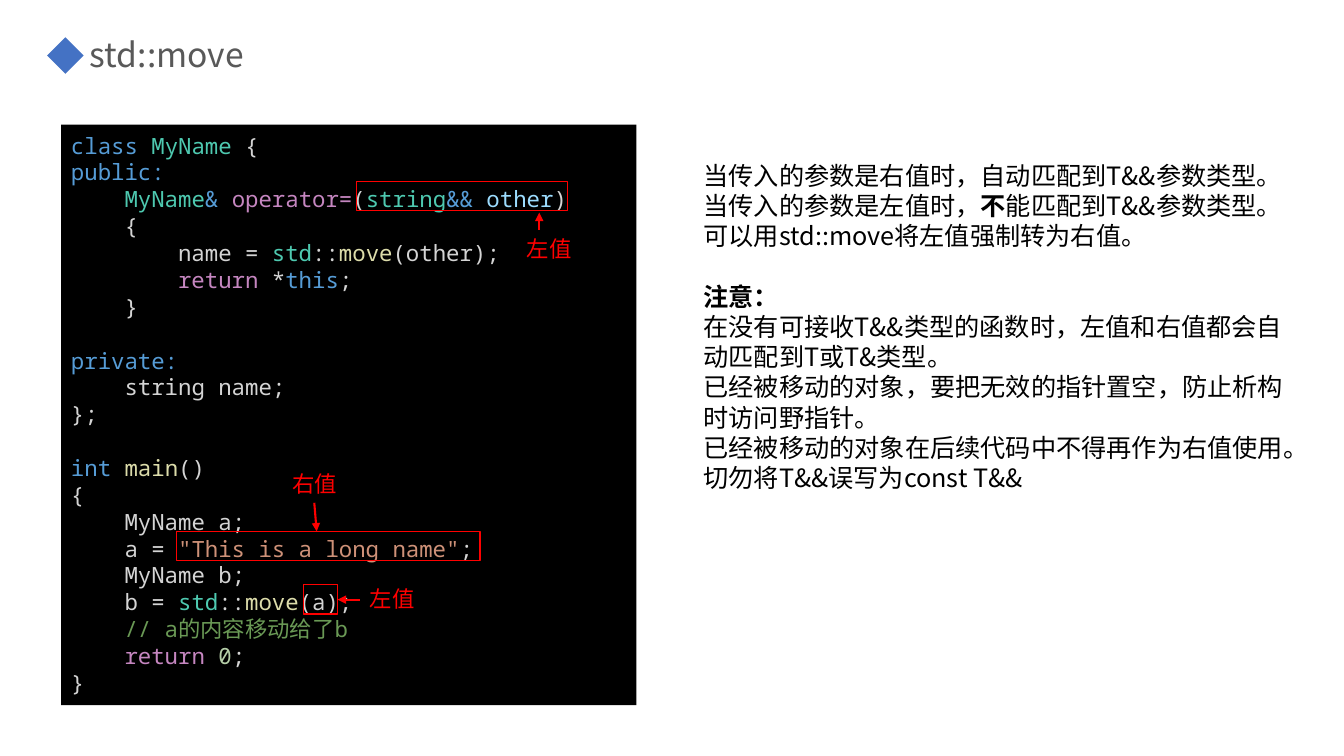
from lxml import etree
from pptx import Presentation
from pptx import util as u
from pptx.dml.color import RGBColor
from pptx.enum import shapes, text
from pptx.oxml.ns import qn

COLOURS = {
    "black": "000000", "red": "FF0000", "accent": "4472C4", "title": "595959",
    "plain": "D4D4D4", "keyword": "569CD6", "type": "4EC9B0", "control": "C586C0",
    "function": "DCDCAA", "variable": "9CDCFE", "string": "CE9178",
    "number": "B5CEA8", "comment": "6A9955",
}
SANS, MONO = "Noto Sans CJK SC", "Noto Sans Mono"
LINE_HEIGHT = 1.2
CODE_INDENT = 1.35

# Each line: indent level, blank line above, then (colour, text) tokens.
CODE = [
    (0, False, [("keyword", "class "), ("type", "MyName"), ("plain", " {")]),
    (0, False, [("keyword", "public:")]),
    (1, False, [("type", "MyName"), ("keyword", "& "), ("control", "operator="),
                ("plain", "("), ("type", "string"), ("keyword", "&& "),
                ("variable", "other"), ("plain", ")")]),
    (1, False, [("plain", "{")]),
    (2, False, [("plain", "name = "), ("type", "std"), ("plain", "::"),
                ("function", "move"), ("plain", "(other);")]),
    (2, False, [("control", "return"), ("plain", " *"), ("keyword", "this"),
                ("plain", ";")]),
    (1, False, [("plain", "}")]),
    (0, True, [("keyword", "private:")]),
    (1, False, [("plain", "string name;")]),
    (0, False, [("plain", "};")]),
    (0, True, [("keyword", "int "), ("function", "main"), ("plain", "()")]),
    (0, False, [("plain", "{")]),
    (1, False, [("plain", "MyName a;")]),
    (1, False, [("plain", "a = "), ("string", '"This is a long name"'), ("plain", ";")]),
    (1, False, [("plain", "MyName b;")]),
    (1, False, [("plain", "b = "), ("type", "std"), ("plain", "::"),
                ("function", "move"), ("plain", "(a);")]),
    (1, False, [("comment", "// a的内容移动给了b")]),
    (1, False, [("control", "return "), ("number", "0"), ("plain", ";")]),
    (0, False, [("plain", "}")]),
]

# Each line: blank line above, then (bold, text) pieces.
NOTES = [
    (False, [(False, "当传入的参数是右值时，自动匹配到T&&参数类型。")]),
    (False, [(False, "当传入的参数是左值时，"), (True, "不"), (False, "能匹配到T&&参数类型。")]),
    (False, [(False, "可以用std::move将左值强制转为右值。")]),
    (True, [(True, "注意：")]),
    (False, [(False, "在没有可接收T&&类型的函数时，左值和右值都会自动匹配到T或T&类型。")]),
    (False, [(False, "已经被移动的对象，要把无效的指针置空，防止析构时访问野指针。")]),
    (False, [(False, "已经被移动的对象在后续代码中不得再作为右值使用。")]),
    (False, [(False, "切勿将T&&误写为const T&&")]),
]

# Left, top, width, height in centimetres.
HIGHLIGHTS = [(4.45, 13.39, 7.65, 0.74), (7.65, 14.73, 0.86, 0.74), (8.99, 4.57, 5.31, 0.74)]
LABELS = [("右值", (7.11, 11.71, 2.31, 0.94)), ("左值", (13.03, 5.79, 2.01, 0.94)),
          ("左值", (9.07, 14.63, 2.01, 0.94))]
# Start x, start y, end x, end y in centimetres.
ARROWS = [(7.92, 12.67, 7.98, 13.39), (9.07, 15.11, 8.51, 15.11), (13.59, 5.79, 13.59, 5.36)]


def colour(name):
    return RGBColor.from_string(COLOURS[name])


def lengths(values):
    return [u.Cm(value) for value in values]


class SlideBuilder:
    def __init__(self, presentation):
        self.slide = presentation.slides.add_slide(presentation.slide_layouts[5])

    def style_run(self, run, size, colour_name, font=SANS, bold=False):
        run.font.size = u.Pt(size)
        run.font.name = font
        run.font.bold = bold
        run.font.color.rgb = colour(colour_name)
        east_asian = etree.SubElement(run.font._element, qn("a:ea"))
        east_asian.set("typeface", SANS)

    def fill_lines(self, frame, lines, size, font=SANS):
        """Fill a frame with lines of (indent level, gap above, [(colour, bold, text)])."""
        frame.word_wrap = True
        frame.auto_size = text.MSO_AUTO_SIZE.NONE
        frame.vertical_anchor = text.MSO_ANCHOR.TOP
        for index, (level, gap, pieces) in enumerate(lines):
            paragraph = frame.add_paragraph() if index else frame.paragraphs[0]
            paragraph.alignment = text.PP_ALIGN.LEFT
            paragraph.line_spacing = u.Pt(size * LINE_HEIGHT)
            if gap:
                paragraph.space_before = u.Pt(size * LINE_HEIGHT)
            if level:
                properties = paragraph._p.get_or_add_pPr()
                properties.set("marL", str(u.Cm(level * CODE_INDENT)))
                properties.set("indent", "0")
            for colour_name, bold, content in pieces:
                run = paragraph.add_run()
                run.text = content
                self.style_run(run, size, colour_name, font, bold)

    def title(self, content, box):
        title = self.slide.shapes.title
        title.left, title.top, title.width, title.height = lengths(box)
        frame = title.text_frame
        frame.text = content
        frame.auto_size = text.MSO_AUTO_SIZE.NONE
        frame.vertical_anchor = text.MSO_ANCHOR.MIDDLE
        frame.margin_left = frame.margin_right = 0
        paragraph = frame.paragraphs[0]
        paragraph.alignment = text.PP_ALIGN.LEFT
        self.style_run(paragraph.runs[0], 24, "title")

    def text_box(self, lines, size, box):
        shape = self.slide.shapes.add_textbox(*lengths(box))
        self.fill_lines(shape.text_frame, lines, size)

    def filled(self, kind, colour_name, box):
        shape = self.slide.shapes.add_shape(kind, *lengths(box))
        shape.shadow.inherit = False
        shape.fill.solid()
        shape.fill.fore_color.rgb = colour(colour_name)
        shape.line.fill.background()
        return shape

    def code_panel(self, lines, box):
        panel = self.filled(shapes.MSO_SHAPE.RECTANGLE, "black", box)
        panel.text_frame.margin_top = u.Cm(0.18)
        self.fill_lines(panel.text_frame, lines, 16, MONO)

    def highlight(self, box):
        frame = self.slide.shapes.add_shape(shapes.MSO_SHAPE.RECTANGLE, *lengths(box))
        frame.shadow.inherit = False
        frame.fill.background()
        frame.line.color.rgb = colour("red")
        frame.line.width = u.Pt(1)

    def arrow(self, ends):
        arrow = self.slide.shapes.add_connector(shapes.MSO_CONNECTOR.STRAIGHT, *lengths(ends))
        arrow.line.color.rgb = colour("red")
        arrow.line.width = u.Pt(1.5)
        etree.SubElement(arrow.line._get_or_add_ln(), qn("a:tailEnd")).set("type", "triangle")
        etree.SubElement(arrow._element.spPr, qn("a:effectLst"))


def main():
    presentation = Presentation()
    presentation.slide_width, presentation.slide_height = u.Cm(33.87), u.Cm(19.05)
    builder = SlideBuilder(presentation)

    builder.title("std::move", (2.26, 0.66, 18.14, 1.4))
    builder.filled(shapes.MSO_SHAPE.DIAMOND, "accent", (1.19, 0.94, 0.92, 0.92))

    notes = [(0, gap, [("black", bold, content) for bold, content in pieces])
             for gap, pieces in NOTES]
    builder.text_box(notes, 18, (17.48, 3.91, 15.39, 8.71))

    code = [(level, gap, [(name, False, content) for name, content in tokens])
            for level, gap, tokens in CODE]
    builder.code_panel(code, (1.54, 3.14, 14.5, 14.63))

    for box in HIGHLIGHTS:
        builder.highlight(box)
    for ends in ARROWS:
        builder.arrow(ends)
    for content, box in LABELS:
        builder.text_box([(0, False, [("red", False, content)])], 16, box)

    presentation.save("out.pptx")


if __name__ == "__main__":
    main()
